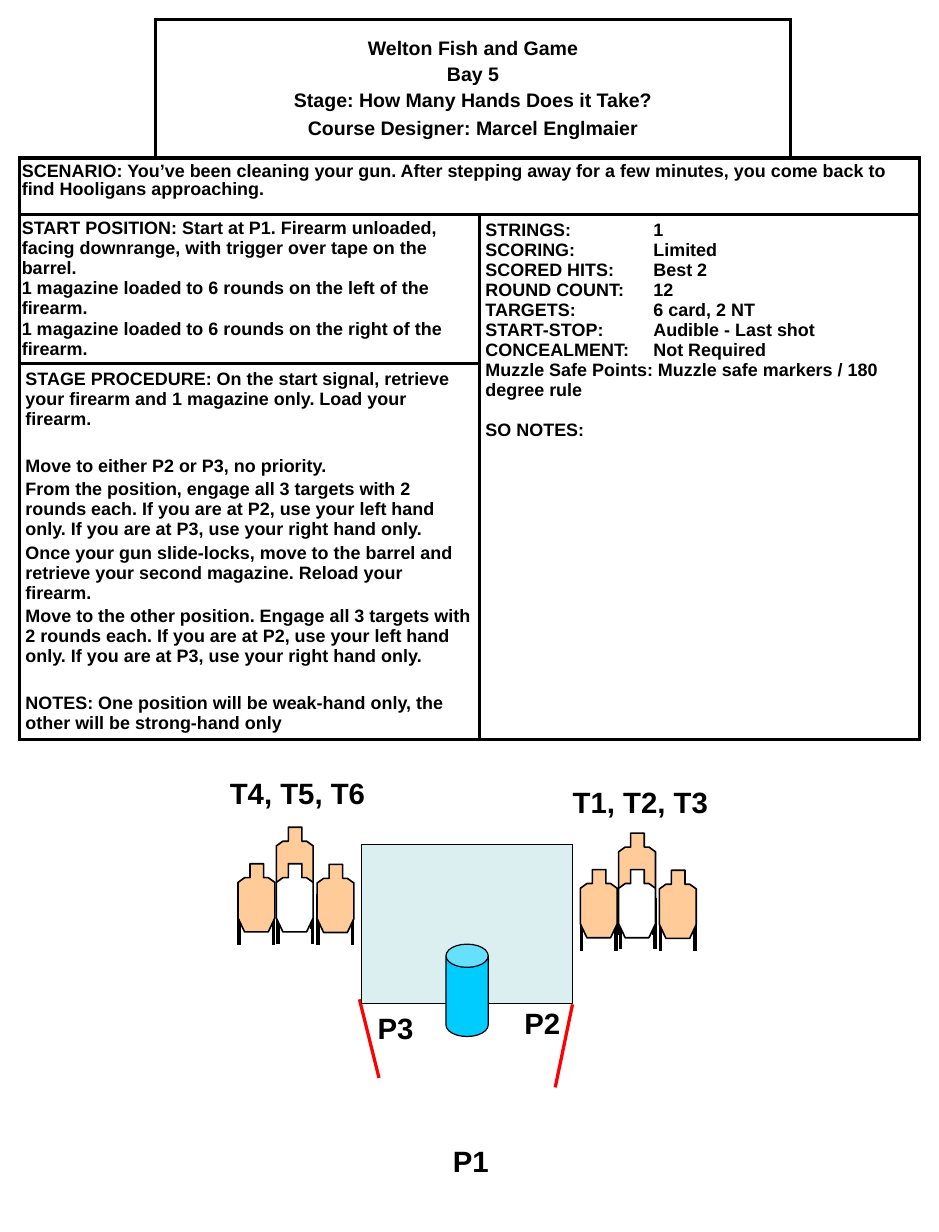
from typing import NamedTuple

from lxml.etree import SubElement
from pptx import Presentation
from pptx.dml.color import RGBColor
from pptx.enum.shapes import MSO_CONNECTOR, MSO_SHAPE
from pptx.enum.text import MSO_ANCHOR, MSO_AUTO_SIZE, PP_ALIGN
from pptx.oxml.ns import qn
from pptx.util import Pt

BLACK = RGBColor(0x00, 0x00, 0x00)
WHITE = RGBColor(0xFF, 0xFF, 0xFF)
RED = RGBColor(0xFF, 0x00, 0x00)
TAN = RGBColor(0xFF, 0xCC, 0x99)
BARREL = RGBColor(0x00, 0xCC, 0xFF)
WALL = RGBColor(0xBB, 0xE0, 0xE3)
FONT = "Arial"
COLUMNS = (83.5, 198.7, 190.8, 79.2)
ROWS = (85, 34.6, 91, 231)
TAB_STOP = 103
SILHOUETTE = (
    (7.4, 0), (15.7, 0), (15.7, 8.6), (18.6, 8.6), (22.6, 11.5), (22.6, 33.3),
    (18.6, 41.8), (4, 41.8), (0, 33.3), (0, 11.5), (4, 8.6), (7.4, 8.6),
)


class Line(NamedTuple):
    text: str
    before: float = 0


class Panel(NamedTuple):
    start: tuple
    end: tuple
    margins: tuple
    lines: tuple
    size: float = 11
    align: PP_ALIGN = PP_ALIGN.LEFT
    anchor: MSO_ANCHOR = MSO_ANCHOR.TOP
    spacing: float = 1.0
    tab: float = 0


class Label(NamedTuple):
    text: str
    left: float
    top: float
    width: float


class Target(NamedTuple):
    left: float
    top: float
    leg_top: float
    leg_inset: float
    color: RGBColor


PANELS = (
    Panel((0, 1), (0, 2), (3.6, 3.6), (
        Line("Welton Fish and Game"),
        Line("Bay 5", 2.4),
        Line("Stage: How Many Hands Does it Take?", 2.4),
        Line("Course Designer: Marcel Englmaier", 4.2),
    ), size=12, align=PP_ALIGN.CENTER, anchor=MSO_ANCHOR.MIDDLE),
    Panel((1, 0), (1, 3), (1.4, 2.9), (
        Line("SCENARIO: You’ve been cleaning your gun. After stepping away for a few minutes, "
             "you come back to find Hooligans approaching."),
    ), spacing=0.9),
    Panel((2, 0), (2, 1), (1.4, 2.2), (
        Line("START POSITION: Start at P1. Firearm unloaded, facing downrange, "
             "with trigger over tape on the barrel."),
        Line("1 magazine loaded to 6 rounds on the left of the firearm.", 0.6),
        Line("1 magazine loaded to 6 rounds on the right of the firearm.", 0.6),
    )),
    Panel((2, 2), (3, 3), (3.6, 3.6), (
        Line("STRINGS:\t1"),
        Line("SCORING:\tLimited"),
        Line("SCORED HITS:\tBest 2"),
        Line("ROUND COUNT:\t12"),
        Line("TARGETS:\t6 card, 2 NT"),
        Line("START-STOP:\tAudible - Last shot"),
        Line("CONCEALMENT:\tNot Required"),
        Line("Muzzle Safe Points: Muzzle safe markers / 180 degree rule"),
        Line("SO NOTES:", 12.3),
    ), tab=TAB_STOP),
    Panel((3, 0), (3, 1), (3.6, 3.6), (
        Line("STAGE PROCEDURE: On the start signal, retrieve your firearm and "
             "1 magazine only. Load your firearm."),
        Line("Move to either P2 or P3, no priority.", 16.6),
        Line("From the position, engage all 3 targets with 2 rounds each. If you are at P2, "
             "use your left hand only. If you are at P3, use your right hand only.", 2.2),
        Line("Once your gun slide-locks, move to the barrel and retrieve your second magazine. "
             "Reload your firearm.", 2.2),
        Line("Move to the other position. Engage all 3 targets with 2 rounds each. If you are "
             "at P2, use your left hand only. If you are at P3, use your right hand only.", 2.2),
        Line("NOTES: One position will be weak-hand only, the other will be strong-hand only", 16.6),
    )),
)
CORNERS = {(0, 0): ("R", "B"), (0, 3): ("L", "B")}
TARGETS = (
    Target(169.5, 507.6, 31, 0.7, TAN),
    Target(146, 530, 18, 0.7, TAN),
    Target(169.5, 530, 17.3, 1.2, WHITE),
    Target(194.5, 530.4, 18, 0.7, TAN),
)
CLUSTER_SHIFTS = ((0, 0), (210, 3.6))
LABELS = (
    Label("P1", 270.7, 697.7, 41.8),
    Label("P3", 224.6, 616.3, 41.8),
    Label("P2", 314.6, 613.4, 41.8),
    Label("T1, T2, T3", 344.2, 477.4, 116.6),
    Label("T4, T5, T6", 133.9, 472.3, 116.6),
)


def write_line(frame, text: str, *, size: float, align=PP_ALIGN.LEFT, before: float = 0,
               spacing: float = 1.0, tab: float = 0) -> None:
    """Add one bold paragraph to a text frame."""
    para = frame.paragraphs[0] if not frame.text else frame.add_paragraph()
    para.alignment = align
    if tab:
        stops = SubElement(para._p.get_or_add_pPr(), qn("a:tabLst"))
        SubElement(stops, qn("a:tab"), pos=str(Pt(tab)), algn="l")
    para.space_before = Pt(before)
    para.line_spacing = spacing
    span = para.add_run()
    span.text = text
    span.font.name, span.font.size, span.font.bold = FONT, Pt(size), True
    span.font.color.rgb = BLACK


def set_borders(cell, sides: tuple) -> None:
    """Rule the named sides of a cell and leave the others bare."""
    properties = cell._tc.get_or_add_tcPr()
    for index, side in enumerate("LRTB"):
        border = properties.makeelement(qn(f"a:ln{side}"), {"w": str(Pt(2.25))})
        if side in sides:
            fill = SubElement(border, qn("a:solidFill"))
            SubElement(fill, qn("a:srgbClr"), val=str(BLACK))
        else:
            SubElement(border, qn("a:noFill"))
        properties.insert(index, border)


def add_briefing(page) -> None:
    """Draw the table that briefs the stage."""
    frame = page.shapes.add_table(len(ROWS), len(COLUMNS), Pt(12), Pt(12),
                                  Pt(sum(COLUMNS)), Pt(sum(ROWS)))
    table = frame.table
    table.first_row = table.horz_banding = False
    for column, width in zip(table.columns, COLUMNS):
        column.width = Pt(width)
    for row, height in zip(table.rows, ROWS):
        row.height = Pt(height)
    for panel in PANELS:
        cell = table.cell(*panel.start)
        cell.merge(table.cell(*panel.end))
        side, edge = map(Pt, panel.margins)
        cell.margin_left = cell.margin_right = side
        cell.margin_top = cell.margin_bottom = edge
        cell.vertical_anchor = panel.anchor
        for line in panel.lines:
            write_line(cell.text_frame, line.text, before=line.before, size=panel.size,
                       align=panel.align, spacing=panel.spacing, tab=panel.tab)
    for place in [panel.start for panel in PANELS] + list(CORNERS):
        cell = table.cell(*place)
        cell.fill.solid()
        cell.fill.fore_color.rgb = WHITE
        set_borders(cell, CORNERS.get(place, tuple("LRTB")))


def paint(shape, color: RGBColor, width: float) -> None:
    """Give a shape a flat fill and a black outline."""
    shape.shadow.inherit = False
    shape.fill.solid()
    shape.fill.fore_color.rgb = color
    shape.line.color.rgb = BLACK
    shape.line.width = Pt(width)


def add_line(shapes, start: tuple, end: tuple, color: RGBColor, width: float) -> None:
    """Draw a straight line."""
    line = shapes.add_connector(MSO_CONNECTOR.STRAIGHT, *map(Pt, start + end))
    line.line.color.rgb = color
    line.line.width = Pt(width)
    SubElement(line._element.spPr, qn("a:effectLst"))


def add_outline(shapes, points: list, color: RGBColor, width: float):
    """Draw a closed outline through the points."""
    first, *rest = [(Pt(x), Pt(y)) for x, y in points]
    builder = shapes.build_freeform(*first)
    builder.add_line_segments(rest, close=True)
    shape = builder.convert_to_shape()
    paint(shape, color, width)
    return shape


def add_target(shapes, target: Target, shift: tuple) -> None:
    """Draw one target on its two legs."""
    left, top = target.left + shift[0], target.top + shift[1]
    for x in (left + target.leg_inset, left + target.leg_inset + 21):
        add_line(shapes, (x, top + target.leg_top), (x, top + target.leg_top + 31.7), BLACK, 2.25)
    add_outline(shapes, [(left + x, top + y) for x, y in SILHOUETTE], target.color, 1)


def add_label(page, label: Label) -> None:
    """Draw one label of the stage plan."""
    box = page.shapes.add_textbox(Pt(label.left), Pt(label.top), Pt(label.width), Pt(28.8))
    box.text_frame.word_wrap = True
    box.text_frame.auto_size = MSO_AUTO_SIZE.SHAPE_TO_FIT_TEXT
    write_line(box.text_frame, label.text, size=18)


def main() -> None:
    """Build the stage briefing."""
    deck = Presentation()
    deck.slide_width, deck.slide_height = Pt(576), Pt(756)
    page = deck.slides.add_slide(deck.slide_layouts[6])
    add_briefing(page)
    add_line(page.shapes, (220.5, 613.2), (232.5, 661.5), RED, 2)
    add_line(page.shapes, (340.6, 667.3), (351.2, 616.3), RED, 2)
    wall = add_outline(page.shapes, [(351.2, 616), (222, 616), (222, 518), (351.2, 518)], WALL, 0.75)
    tint = wall._element.spPr.find(qn("a:solidFill")).find(qn("a:srgbClr"))
    SubElement(tint, qn("a:alpha"), val="50000")
    barrel = page.shapes.add_shape(MSO_SHAPE.CAN, Pt(273.6), Pt(579.4), Pt(25.9), Pt(56.7))
    barrel.adjustments[0] = 0.55
    paint(barrel, BARREL, 0.75)
    for shift in CLUSTER_SHIFTS:
        cluster = page.shapes.add_group_shape()
        for target in TARGETS:
            add_target(cluster.shapes, target, shift)
    for label in LABELS:
        add_label(page, label)
    deck.save("out.pptx")


if __name__ == "__main__":
    main()
